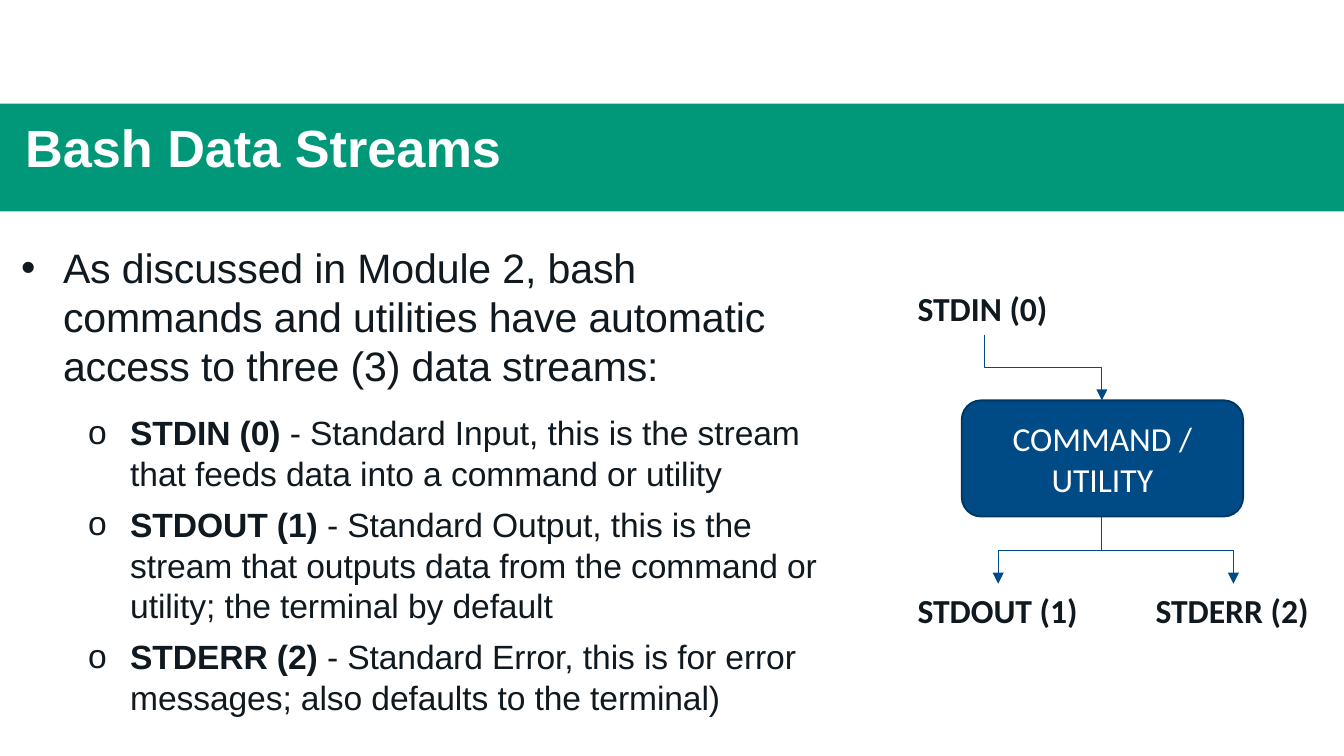
from pptx import Presentation
from pptx.dml.color import RGBColor as Rgb
from pptx.enum.shapes import MSO_CONNECTOR as Conn, MSO_SHAPE as Kind
from pptx.enum.text import MSO_ANCHOR as Anchor, MSO_AUTO_SIZE as Auto, PP_ALIGN as Align
from pptx.oxml.ns import qn
from pptx.util import Pt
from lxml.etree import SubElement as Sub

PX = 9525
HUES = {"green": "009878", "blue": "004B85", "edge": "003762", "ink": "101920", "white": "FFFFFF"}
HEAD = {"name": "Arial", "size": Pt(28), "bold": True}
LEAD = {"name": "Arial", "size": Pt(22), "bold": False}
ITEM = {**LEAD, "size": Pt(18)}
LABEL = {"name": "Calibri", "size": Pt(18), "bold": True}
NODE = {**LABEL, "bold": False}
INTRO = "As discussed in Module 2, bash commands and utilities have automatic access to three (3) data streams:"
STREAMS = [
    ("STDIN (0)", " - Standard Input, this is the stream that feeds data into a command or utility"),
    ("STDOUT (1)", " - Standard Output, this is the stream that outputs data from the command or utility; the terminal by default"),
    ("STDERR (2)", " - Standard Error, this is for error messages; also defaults to the terminal)"),
]


def hue(name):
    """Return a named colour."""
    return Rgb.from_string(HUES[name])


def apply(item, form):
    """Set each format value on the item."""
    for key, value in form.items():
        setattr(item, key, value)


def write(para, text, form, ink="ink"):
    """Add a formatted run to the paragraph."""
    run = para.add_run()
    run.text = text
    apply(run.font, form)
    run.font.color.rgb = hue(ink)
    return run


def block(slide, kind, box, fill, edge=None):
    """Add a flat filled shape."""
    shape = slide.shapes.add_shape(kind, *(n * PX for n in box))
    shape.shadow.inherit = False
    shape.fill.solid()
    shape.fill.fore_color.rgb = hue(fill)
    if edge:
        shape.line.color.rgb = hue(edge)
        shape.line.width = Pt(1)
    else:
        shape.line.fill.background()
    return shape


def area(slide, box, form):
    """Add a text box and return its frame."""
    frame = slide.shapes.add_textbox(*(n * PX for n in box)).text_frame
    apply(frame, {"word_wrap": True, "auto_size": Auto.SHAPE_TO_FIT_TEXT, **form})
    return frame


def banner(slide, x, y, w, h):
    """Draw the title band."""
    block(slide, Kind.RECTANGLE, (x, y, w, h), "green")
    form = {"margin_left": 0, "margin_right": 0, "margin_top": PX, "margin_bottom": 0,
            "vertical_anchor": Anchor.MIDDLE}
    para = area(slide, (x + 19, y + 12, 473, 42), form).paragraphs[0]
    para.line_spacing = 0.9
    write(para, "Bash Data Streams", HEAD, "white")


def bullet(para, mark, left, gap):
    """Give the paragraph a hanging bullet."""
    props = para._p.get_or_add_pPr()
    props.set("marL", str(left * PX))
    props.set("indent", str(-30 * PX))
    para.space_after = Pt(gap)
    Sub(props, qn("a:buFont")).set("typeface", "Arial")
    Sub(props, qn("a:buChar")).set("char", mark)


def notes(slide, x, y, w, h):
    """Write the intro and the list of streams."""
    form = {"margin_left": 0, "margin_right": 0, "margin_top": 3 * PX, "margin_bottom": 0}
    frame = area(slide, (x, y, w, h), form)
    para = frame.paragraphs[0]
    bullet(para, "•", 32, 12)
    runs = [write(para, INTRO, LEAD)]
    for name, text in STREAMS:
        para = frame.add_paragraph()
        para.level = 1
        bullet(para, "o", 80, 6)
        runs += [write(para, name, {**ITEM, "bold": True}), write(para, text, ITEM)]
    for run in runs:
        run._r.get_or_add_rPr().set("spc", "-5")


def arrow(slide, x1, y1, x2, y2):
    """Draw an elbow arrow that leaves and arrives vertically."""
    mx, my = (x1 + x2) / 2, (y1 + y2) / 2
    dx, dy = (x2 - x1) / 2, (y2 - y1) / 2
    side = 1 if dx > 0 else -1
    ends = (mx + side * dy, my - abs(dx), mx - side * dy, my + abs(dx))
    line = slide.shapes.add_connector(Conn.ELBOW, *(int(n * PX) for n in ends))
    line.line.color.rgb = hue("blue")
    line.line.width = Pt(0.5)
    props = line._element.spPr
    props.find(qn("a:xfrm")).set("rot", str((270 if side > 0 else 90) * 60000))
    Sub(props.find(qn("a:ln")), qn("a:tailEnd")).set("type", "triangle")
    Sub(props, qn("a:effectLst"))


def flow(slide, x, y, w, h):
    """Draw the command with its input and outputs."""
    mid, top, base, low = x + 141, y + 85, y + 168, y + h - 38
    node = block(slide, Kind.ROUNDED_RECTANGLE, (x + 41, top, 201, base - top), "blue", "edge")
    apply(node.text_frame, {"word_wrap": True, "vertical_anchor": Anchor.MIDDLE})
    para = node.text_frame.paragraphs[0]
    para.alignment = Align.CENTER
    write(para, "COMMAND / UTILITY", NODE, "white")
    spots = [(x, y, 113), (x, low, 135), (x + w - 130, low, 130)]
    for (name, _), (left, head, wide) in zip(STREAMS, spots):
        frame = area(slide, (left, head, wide, 38), {"word_wrap": False})
        write(frame.paragraphs[0], name, LABEL)
    arrow(slide, x + 57, y + 38, mid, top)
    for end in (x + 67, x + 235):
        arrow(slide, mid, base, end, low)


def main():
    """Build and save the slide."""
    deck = Presentation()
    apply(deck, {"slide_width": 960 * PX, "slide_height": 540 * PX})
    slide = deck.slides.add_slide(deck.slide_layouts[6])
    banner(slide, -1, 74, 962, 77)
    notes(slide, 13, 170, 592, 346)
    flow(slide, 646, 201, 300, 254)
    deck.save("out.pptx")


if __name__ == "__main__":
    main()
